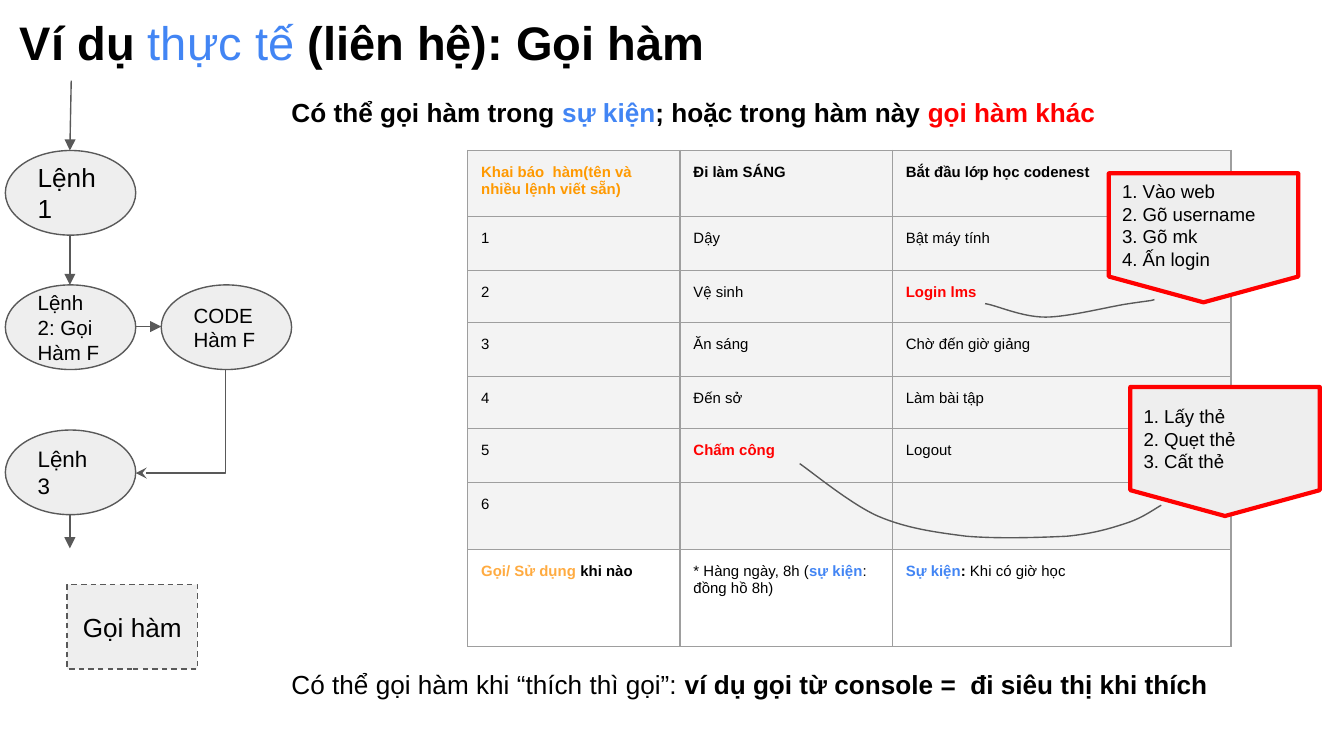
import lxml.etree as etree
import pptx
import pptx.dml.color
import pptx.enum.dml
import pptx.enum.shapes
import pptx.enum.text
import pptx.oxml.ns
import pptx.util

RGB = pptx.dml.color.RGBColor
SHAPE = pptx.enum.shapes.MSO_SHAPE
CONNECTOR = pptx.enum.shapes.MSO_CONNECTOR
ALIGN = pptx.enum.text.PP_ALIGN
ANCHOR = pptx.enum.text.MSO_ANCHOR
qn = pptx.oxml.ns.qn

BLACK = RGB(0x00, 0x00, 0x00)
BLUE = RGB(0x42, 0x85, 0xF4)
RED = RGB(0xFF, 0x00, 0x00)
ORANGE = RGB(0xFF, 0x99, 0x00)
AMBER = RGB(0xFF, 0xAB, 0x40)
GRAY = RGB(0x59, 0x59, 0x59)
FILL = RGB(0xEE, 0xEE, 0xEE)
CELL = RGB(0xF3, 0xF3, 0xF3)
BORDER = "9E9E9E"
FONT = "Arial"
INSET = 10

COLS = [158, 158, 252]
ROWS = [49, 40, 39, 40, 39, 40, 45, 72]
STEPS = [
    ("1", "Dậy", "Bật máy tính"),
    ("2", "Vệ sinh", [("Login lms", RED, True)]),
    ("3", "Ăn sáng", "Chờ đến giờ giảng"),
    ("4", "Đến sở", "Làm bài tập"),
    ("5", [("Chấm công", RED, True)], "Logout"),
    ("6", "", ""),
]
TABLE = [
    ([("Khai báo  hàm(tên và nhiều lệnh viết sẵn)", ORANGE, True)],
     [("Đi làm SÁNG", BLACK, True)],
     [("Bắt đầu lớp học codenest", BLACK, True)]),
    *STEPS,
    ([("Gọi/ Sử dụng ", AMBER, True), ("khi nào", BLACK, True)],
     [("* Hàng ngày, 8h (", BLACK, False), ("sự kiện", BLUE, True),
      (": đồng hồ 8h)", BLACK, False)],
     [("Sự kiện", BLUE, True), (":", BLACK, True),
      (" Khi có giờ học", BLACK, False)]),
]


def px(n):
    """Turn px, a hundred to the inch, into EMU."""
    return pptx.util.Emu(n * 9144)


def write(tf, paragraphs, size, align=ALIGN.LEFT):
    """Fill a text frame; a paragraph is a string or a list of (text, colour, bold)."""
    tf.word_wrap = True
    tf.margin_left = tf.margin_right = tf.margin_top = tf.margin_bottom = px(INSET)
    for i, runs in enumerate(paragraphs):
        p = tf.add_paragraph() if i else tf.paragraphs[0]
        p.alignment = align
        p.font.name, p.font.size = FONT, pptx.util.Pt(size)
        if isinstance(runs, str):
            runs = [(runs, BLACK, False)]
        for text, color, bold in runs:
            r = p.add_run()
            r.text = text
            font = p.font if len(runs) == 1 else r.font
            font.color.rgb, font.bold = color, bold


def add_text(s, x, y, w, h, runs, size):
    """Place one paragraph of text in a box."""
    tf = s.shapes.add_textbox(px(x), px(y), px(w), px(h)).text_frame
    write(tf, [runs], size)
    tf.vertical_anchor = ANCHOR.TOP


def add_box(s, kind, x, y, w, h, paragraphs, size, color=GRAY, width=0.75, align=ALIGN.LEFT):
    """Place a filled, outlined preset shape with text."""
    sp = s.shapes.add_shape(kind, px(x), px(y), px(w), px(h))
    sp.shadow.inherit = False
    sp.fill.solid()
    sp.fill.fore_color.rgb = FILL
    sp.line.color.rgb = color
    sp.line.width = pptx.util.Pt(width)
    write(sp.text_frame, paragraphs, size, align)
    sp.text_frame.vertical_anchor = ANCHOR.MIDDLE
    return sp


def add_arrow(s, x1, y1, x2, y2, kind=CONNECTOR.STRAIGHT, head="triangle"):
    """Draw a connector with an arrowhead at its end."""
    c = s.shapes.add_connector(kind, px(x1), px(y1), px(x2), px(y2))
    c.line.color.rgb = GRAY
    c.line.width = pptx.util.Pt(0.75)
    spPr = c._element.spPr
    etree.SubElement(spPr.find(qn("a:ln")), qn("a:tailEnd"), type=head)
    etree.SubElement(spPr, qn("a:effectLst"))
    return c


def add_corner_arrow(s, x1, y1, x2, y2):
    """Draw an arrow that runs down from the start, then left to the end."""
    w, h = y2 - y1, x1 - x2
    left, top = (x1 + x2 - w) // 2, (y1 + y2 - h) // 2
    c = add_arrow(s, left, top, left + w, top + h, CONNECTOR.ELBOW, "stealth")
    spPr = c._element.spPr
    spPr.find(qn("a:xfrm")).set("rot", "5400000")
    spPr.find(qn("a:prstGeom")).set("prst", "bentConnector2")


def add_curve(s, x, y, points):
    """Draw an open curve from a start point and triples of Bezier points."""
    pts = [(px(x + dx), px(y + dy)) for dx, dy in points]
    builder = s.shapes.build_freeform(*pts[0])
    builder.add_line_segments(pts[3::3], close=False)
    sp = builder.convert_to_shape()
    sp.shadow.inherit = False
    sp.fill.background()
    sp.line.color.rgb = GRAY
    sp.line.width = pptx.util.Pt(0.75)
    for i, line in enumerate(list(sp._element.iter(qn("a:lnTo")))):
        bezier = etree.Element(qn("a:cubicBezTo"))
        for bx, by in pts[3 * i + 1:3 * i + 4]:
            etree.SubElement(bezier, qn("a:pt"), x=str(bx - sp.left), y=str(by - sp.top))
        line.getparent().replace(line, bezier)


def add_borders(cell):
    """Give a cell a thin line on all four sides."""
    tcPr = cell._tc.get_or_add_tcPr()
    for i, side in enumerate(("lnL", "lnR", "lnT", "lnB")):
        ln = etree.Element(qn("a:" + side), w="9525")
        fill = etree.SubElement(ln, qn("a:solidFill"))
        etree.SubElement(fill, qn("a:srgbClr"), val=BORDER)
        tcPr.insert(i, ln)


def add_schedule(s, x, y):
    """Place the table of daily steps."""
    table = s.shapes.add_table(len(ROWS), len(COLS), px(x), px(y),
                               px(sum(COLS)), px(sum(ROWS))).table
    table.first_row = table.horz_banding = False
    for col, w in zip(table.columns, COLS):
        col.width = px(w)
    for i, (row, h) in enumerate(zip(table.rows, ROWS)):
        row.height = px(h)
        for cell, runs in zip(row.cells, TABLE[i]):
            cell.margin_left = cell.margin_right = px(INSET)
            cell.margin_top = cell.margin_bottom = px(INSET)
            if i < len(ROWS) - 1:
                cell.fill.solid()
                cell.fill.fore_color.rgb = CELL
            else:
                cell.fill.background()
            add_borders(cell)
            write(cell.text_frame, [runs], 8 if runs else 18)


def add_flow(s, x, y):
    """Place the flow of commands that calls a function."""
    w, h, mid = 97, 63, x + 48
    first, second, third = y + 52, y + 152, y + 260
    code = x + 116
    for left, top, text, size in ((x, first, "Lệnh 1", 14),
                                  (x, second, "Lệnh 2: Gọi Hàm F", 11),
                                  (x, third, "Lệnh 3", 12),
                                  (code, second, "CODE Hàm F", 11)):
        add_box(s, SHAPE.OVAL, left, top, w, h, [text], size)
    add_arrow(s, mid + 1, y, mid, first)
    add_arrow(s, mid, first + h, mid, second)
    add_arrow(s, mid, third + h, mid, third + h + 25)
    add_arrow(s, x + w, second + 31, code, second + 31)
    add_corner_arrow(s, code + 48, second + h, x + w, third + 32)
    sp = add_box(s, SHAPE.RECTANGLE, x + 46, y + 375, w, h, ["Gọi hàm"], 14,
                 align=ALIGN.CENTER)
    sp.line.dash_style = pptx.enum.dml.MSO_LINE.DASH


def add_callout(s, x, y, steps, curve):
    """Place a list of steps and the curve that leads to it."""
    add_box(s, SHAPE.FLOWCHART_OFFPAGE_CONNECTOR, x, y, 141, 96, steps, 10, RED, 2.25)
    add_curve(s, x, y, curve)


def main():
    """Build the slide and save it."""
    prs = pptx.Presentation()
    prs.slide_width = px(1000)
    prs.slide_height = prs.slide_width * 9 // 16
    s = prs.slides.add_slide(prs.slide_layouts[6])
    add_text(s, 5, 0, 965, 63, [("Ví dụ", BLACK, True), (" thực tế", BLUE, False),
                                (" (liên hệ): Gọi hàm", BLACK, True)], 25.2)
    add_schedule(s, 348, 112)
    add_text(s, 207, 62, 742, 44, [
        ("Có thể gọi hàm trong", BLACK, True), (" sự kiện", BLUE, True),
        ("; hoặc trong hàm này ", BLACK, True), ("gọi hàm khác", RED, True)], 14)
    add_flow(s, 4, 60)
    add_callout(s, 825, 129, ["1. Vào web", "2. Gõ username", "3. Gõ mk", "4. Ấn login"], [
        (-92, 97), (-84, 98), (-65, 107), (-47, 107), (-30, 107), (1, 99), (15, 97),
        (28, 95), (31, 95), (34, 94)])
    add_callout(s, 841, 288, ["1. Lấy thẻ", "2. Quẹt thẻ", "3. Cất thẻ"], [
        (-246, 57), (-236, 64), (-208, 87), (-188, 96), (-167, 105), (-146, 108), (-122, 111),
        (-99, 113), (-67, 112), (-47, 111), (-27, 109), (-14, 105), (-2, 101),
        (10, 97), (19, 90), (23, 88)])
    add_text(s, 207, 487, 742, 44, [
        ("Có thể gọi hàm khi “thích thì gọi”:", BLACK, False),
        (" ví dụ gọi từ console =  đi siêu thị khi thích", BLACK, True)], 14)
    prs.save("out.pptx")


if __name__ == "__main__":
    main()
